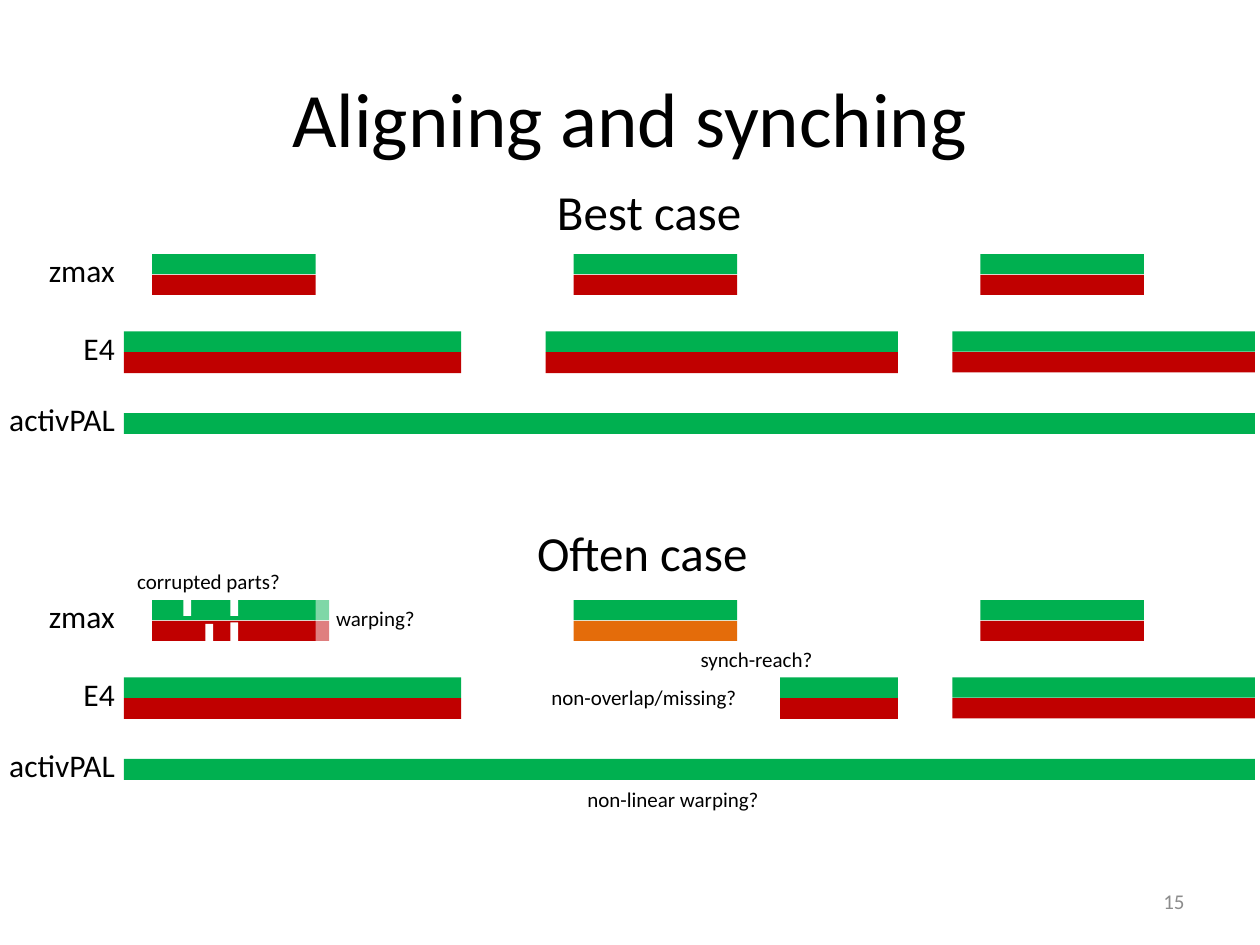
import pptx
import pptx.util
import pptx.dml.color
import pptx.enum.shapes
import pptx.enum.text
import pptx.oxml.ns
from dataclasses import dataclass
from lxml import etree

Pt = pptx.util.Pt
ALIGN = pptx.enum.text.PP_ALIGN
ANCHOR = pptx.enum.text.MSO_ANCHOR


@dataclass(frozen=True)
class Theme:
    font: str = "Calibri"
    black: str = "000000"
    grey: str = "8C8C8C"
    white: str = "FFFFFF"
    green: str = "00B050"
    red: str = "C00000"
    orange: str = "E46C0A"
    title: int = 44
    heading: int = 28
    label: int = 18
    note: int = 12


class Deck:
    def __init__(self, prs, theme):
        self.theme = theme
        self.s = prs.slides.add_slide(prs.slide_layouts[6])

    def bar(self, x, y, w, h, color, alpha=None):
        sp = self.s.shapes.add_shape(
            pptx.enum.shapes.MSO_SHAPE.RECTANGLE, Pt(x), Pt(y), Pt(w), Pt(h))
        sp.shadow.inherit = False
        sp.line.fill.background()
        sp.fill.solid()
        sp.fill.fore_color.rgb = pptx.dml.color.RGBColor.from_string(color)
        if alpha is not None:
            clr = sp.fill._xPr.find(".//" + pptx.oxml.ns.qn("a:srgbClr"))
            etree.SubElement(clr, pptx.oxml.ns.qn("a:alpha"), val=str(alpha * 1000))

    def pair(self, x, y, w, h, step, lower=None, alpha=None):
        """Two stacked bars: green above, red (or another colour) below."""
        self.bar(x, y, w, h, self.theme.green, alpha)
        self.bar(x, y + step, w, h, lower or self.theme.red, alpha)

    def text(self, text, x, y, w, h, size, color=None, align=ALIGN.RIGHT,
             anchor=ANCHOR.TOP, wrap=False):
        tf = self.s.shapes.add_textbox(Pt(x), Pt(y), Pt(w), Pt(h)).text_frame
        fit = pptx.enum.text.MSO_AUTO_SIZE
        frame = {"word_wrap": wrap, "vertical_anchor": anchor,
                 "auto_size": fit.NONE if wrap else fit.SHAPE_TO_FIT_TEXT}
        for name, value in frame.items():
            setattr(tf, name, value)
        p = tf.paragraphs[0]
        p.alignment = align
        r = p.add_run()
        r.text = text
        for name, value in {"name": self.theme.font, "size": Pt(size)}.items():
            setattr(r.font, name, value)
        r.font.color.rgb = pptx.dml.color.RGBColor.from_string(color or self.theme.black)

    def case(self, dy, zmax_lower, e4_middle):
        """One set of device timelines, moved down by dy."""
        # Row labels share a right edge
        for label, y, w in (("zmax", 139.8, 52.6), ("E4", 184.5, 32.4),
                            ("activPAL", 225, 75.6)):
            self.text(label, 72.7 - w, y + dy, w, 29, self.theme.label)
        # zmax recordings
        for x, lower in zip((87, 327.8, 560.2), zmax_lower):
            self.pair(x, 145.2 + dy, 93.5, 11.5, 11.9, lower)
        # E4 recordings
        for x, w, h in ((70.8, 192.8, 12), (*e4_middle, 12), (544.2, 172.9, 11.6)):
            self.pair(x, 189.3 + dy, w, h, 11.9)
        # activPAL recording
        self.bar(70.8, 236 + dy, 646.3, 12, self.theme.green)


def main():
    prs = pptx.Presentation()
    prs.slide_width, prs.slide_height = Pt(720), Pt(540)
    theme = Theme()
    deck = Deck(prs, theme)

    # Title
    deck.text("Aligning and synching", 36, 21.6, 648, 90, theme.title,
              align=ALIGN.CENTER, anchor=ANCHOR.MIDDLE, wrap=True)

    # Best case
    deck.text("Best case", 309.6, 100.2, 121, 41, theme.heading)
    deck.case(0, [theme.red] * 3, (311.8, 201.3))

    # Often case
    deck.text("Often case", 297.4, 295.2, 136.8, 41, theme.heading)
    deck.case(197.7, [theme.red, theme.orange, theme.red], (445.8, 67.3))

    # Warped end and corrupted gaps of the first zmax recording
    deck.pair(179.5, 342.9, 8.6, 11.5, 11.9, alpha=50)
    for x, y in ((104.8, 340.4), (117.3, 356.5), (131.6, 340.4), (131.6, 355.6)):
        deck.bar(x, y, 4.5, 11.5, theme.white)

    # Notes on the problems
    for note, x, y, w in (("corrupted parts?", 70.6, 321.1, 96.5),
                          ("warping?", 184.5, 342.6, 59.6),
                          ("non-overlap/missing?", 306.9, 387.7, 121),
                          ("synch-reach?", 392.4, 366, 79),
                          ("non-linear warping?", 324.7, 446, 116)):
        deck.text(note, x, y, w, 21.8, theme.note)

    # Slide number
    deck.text("15", 516, 500.5, 168, 28.8, theme.note, theme.grey,
              anchor=ANCHOR.MIDDLE, wrap=True)

    prs.save("out.pptx")


if __name__ == "__main__":
    main()
